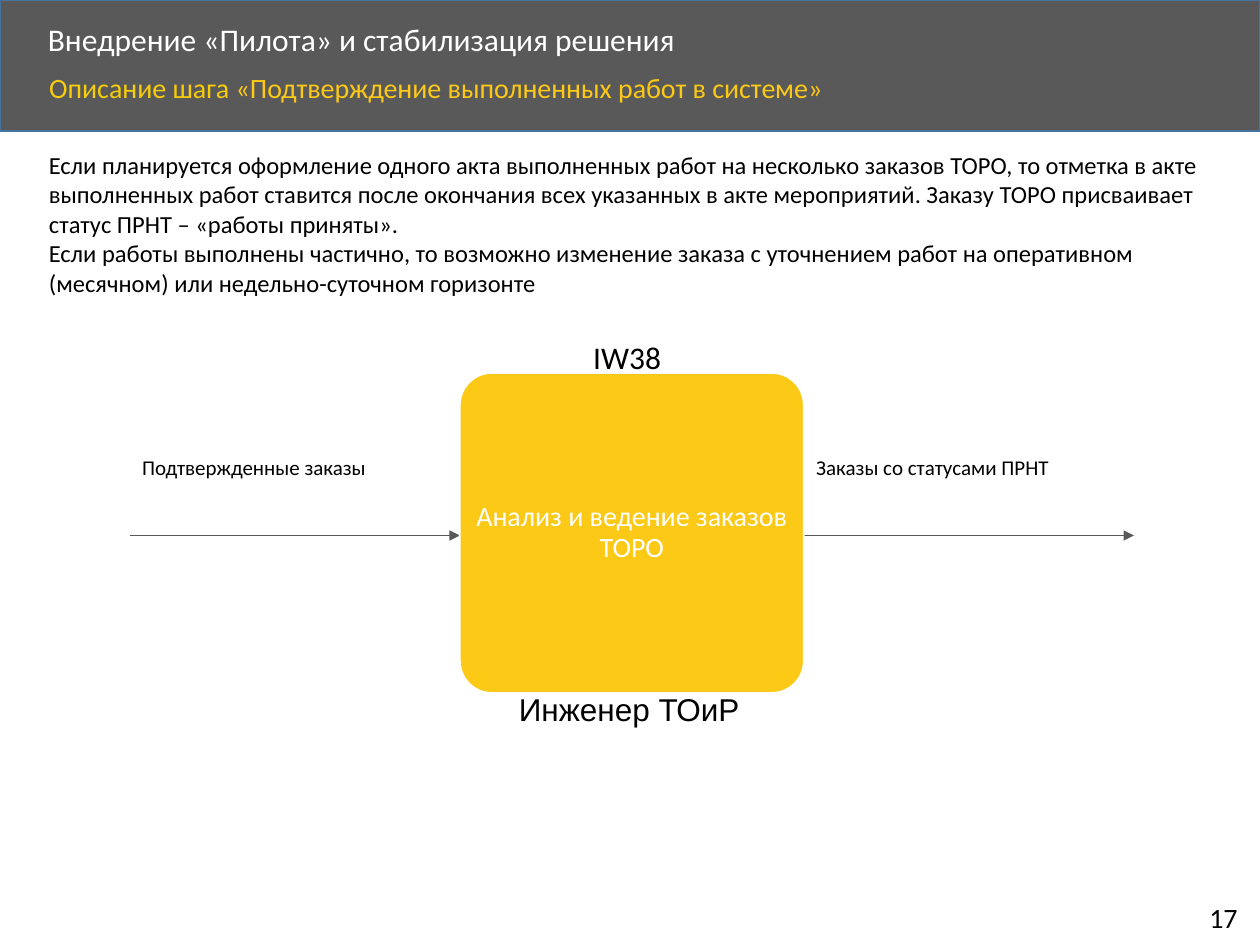
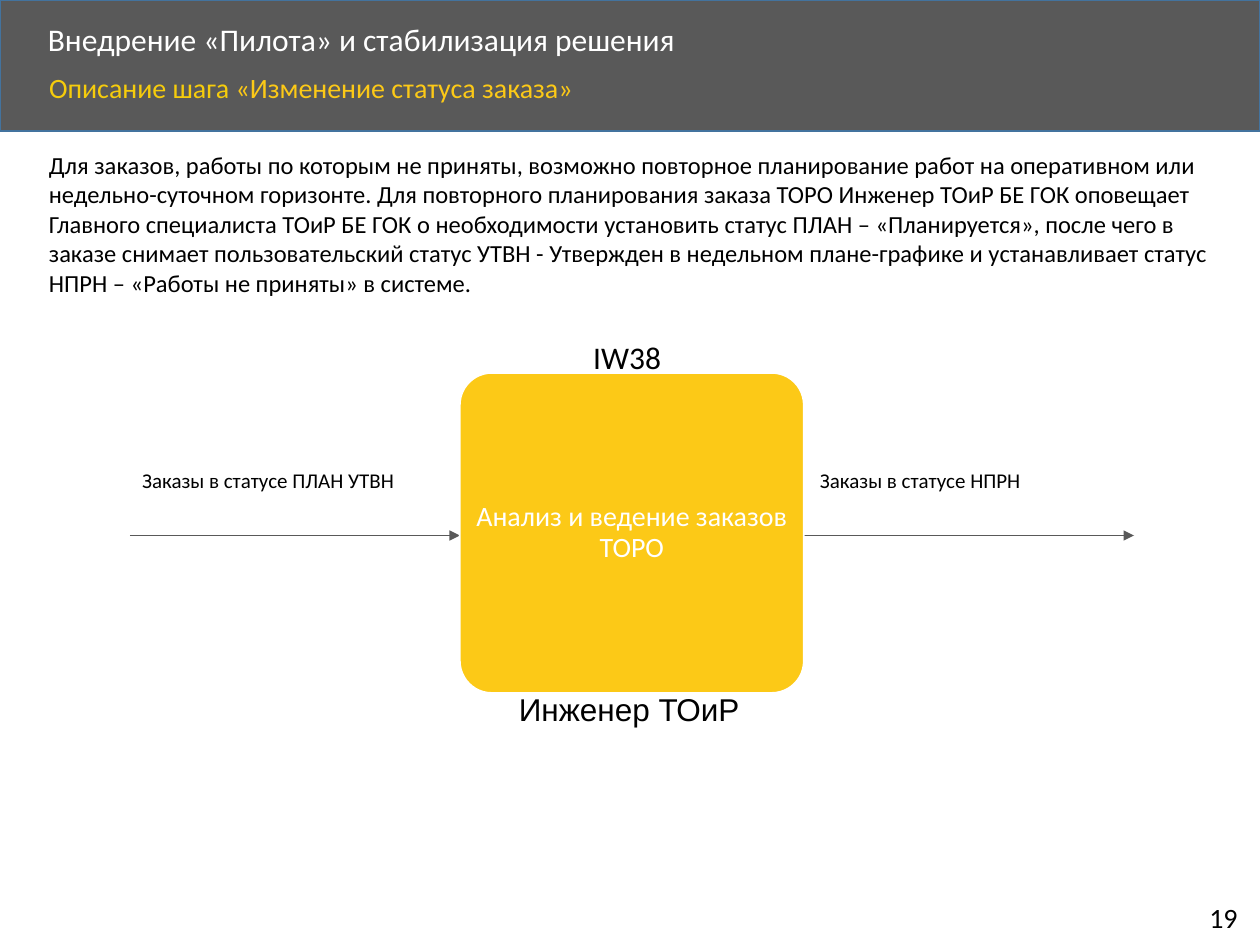
from lxml import etree
from pptx import Presentation
from pptx import util as u
from pptx.dml.color import RGBColor
from pptx.enum import shapes, text
from pptx.oxml.ns import qn

HUES = {"band": "595959", "edge": "43739E", "gold": "FCC917",
        "lead": "F6CC0C", "white": "FFFFFF", "black": "000000"}
WIDE, HIGH = u.Inches(10), u.Inches(7.5)
COLS, ROWS = 100, 75
LEFT = 2.9
BOX = (36.5, 29.6, 27.3, 25.4)
REACH = 26.2
FLOW = 42.5
HEAD = "Внедрение «Пилота» и стабилизация решения"
STEP = "Описание шага "
TASK = "Анализ и ведение заказов ТОРО"
CODE = "IW38"
ROLE = "Инженер ТОиР"

PAGES = [
    {"num": "17", "step": "«Подтверждение выполненных работ в системе»",
     "body": [
         "Если планируется оформление одного акта выполненных работ на несколько "
         "заказов ТОРО, то отметка в акте выполненных работ ставится после окончания "
         "всех указанных в акте мероприятий. Заказу ТОРО присваивает статус ПРНТ – "
         "«работы приняты».",
         "Если работы выполнены частично, то возможно изменение заказа с уточнением "
         "работ на оперативном (месячном) или недельно-суточном горизонте"],
     "input": "Подтвержденные заказы", "output": "Заказы со статусами ПРНТ",
     "row": 35.6, "out": 63.8},
    {"num": "19", "step": "«Изменение статуса заказа»",
     "body": [
         "Для заказов, работы по которым не приняты, возможно повторное планирование "
         "работ на оперативном или недельно-суточном горизонте. Для повторного "
         "планирования заказа ТОРО Инженер ТОиР БЕ ГОК оповещает Главного специалиста "
         "ТОиР БЕ ГОК о необходимости установить статус ПЛАН – «Планируется», после "
         "чего в заказе снимает пользовательский статус УТВН - Утвержден в недельном "
         "плане-графике и устанавливает статус НПРН – «Работы не приняты» в системе."],
     "input": "Заказы в статусе ПЛАН УТВН", "output": "Заказы в статусе НПРН",
     "row": 36.6, "out": 64.1},
]


def hue(name):
    return RGBColor.from_string(HUES[name])


def grid(x, y, *size):
    spans = (WIDE / COLS, HIGH / ROWS) * 2
    return [int(n * span) for n, span in zip((x, y, *size), spans)]


def place(shape, spot):
    shape.left, shape.top, shape.width, shape.height = grid(*spot)


def add_run(para, words, size, color="black", face="Calibri"):
    run = para.add_run()
    run.text = words
    run.font.size = u.Pt(size)
    run.font.name = face
    run.font.color.rgb = hue(color)


def add_text(slide, spot, lines, size, face="Calibri", wrap=True):
    frame = slide.shapes.add_textbox(*grid(*spot)).text_frame
    frame.word_wrap = wrap
    for i, line in enumerate(lines):
        para = frame.add_paragraph() if i else frame.paragraphs[0]
        add_run(para, line, size, face=face)


def add_form(slide, kind, spot, fill, edge):
    form = slide.shapes.add_shape(kind, *grid(*spot))
    form.shadow.inherit = False
    form.fill.solid()
    form.fill.fore_color.rgb = hue(fill)
    form.line.color.rgb = hue(edge)
    form.line.width = u.Pt(1)
    return form


def add_band(slide):
    band = add_form(slide, shapes.MSO_SHAPE.RECTANGLE, (0, 0, COLS, 10.4),
                    "band", "edge")
    slide.shapes._spTree.insert(2, band._element)


def fill_holder(holder, spot, anchor, runs, size):
    place(holder, spot)
    frame = holder.text_frame
    frame.auto_size = text.MSO_AUTO_SIZE.NONE
    frame.vertical_anchor = anchor
    para = frame.paragraphs[0]
    props = para._p.get_or_add_pPr()
    props.set("marL", "0")
    props.set("indent", "0")
    etree.SubElement(props, qn("a:buNone"))
    para.alignment = text.PP_ALIGN.LEFT
    para.line_spacing = 0.9
    para.space_before = u.Pt(0)
    for words, color in runs:
        add_run(para, words, size, color)


def add_arrow(slide, x):
    ends = grid(x, FLOW) + grid(x + REACH, FLOW)
    arrow = slide.shapes.add_connector(shapes.MSO_CONNECTOR.STRAIGHT, *ends)
    arrow.line.color.rgb = hue("band")
    arrow.line.width = u.Pt(0.5)
    etree.SubElement(arrow.line._get_or_add_ln(), qn("a:tailEnd"), type="triangle")
    etree.SubElement(arrow._element.spPr, qn("a:effectLst"))


def add_task(slide):
    task = add_form(slide, shapes.MSO_SHAPE.ROUNDED_RECTANGLE, BOX, "gold", "white")
    task.adjustments[0] = 0.1
    frame = task.text_frame
    frame.word_wrap = True
    frame.vertical_anchor = text.MSO_ANCHOR.MIDDLE
    frame.margin_left = frame.margin_right = u.Inches(0.01)
    para = frame.paragraphs[0]
    para.alignment = text.PP_ALIGN.CENTER
    para.line_spacing = 0.9
    add_run(para, TASK, 16, "white")


def add_flow(slide, page):
    start, end = BOX[0] - REACH, BOX[0] + BOX[2]
    for x, spot, label in ((start, start, page["input"]),
                           (end, page["out"], page["output"])):
        add_arrow(slide, x)
        add_text(slide, (spot, page["row"], 25.7, 3), [label], 12)
    add_task(slide)
    add_text(slide, (46.1, 26.3, 7.5, 4), [CODE], 18, wrap=False)
    add_text(slide, (40.2, 54.3, 20, 4), [ROLE], 18, face="Arial")


def add_page(deck, page):
    slide = deck.slides.add_slide(deck.slide_layouts[1])
    add_band(slide)
    fill_holder(slide.shapes.title, (2.8, 1.4, 80.7, 3.8),
                text.MSO_ANCHOR.MIDDLE, [(HEAD, "white")], 18)
    fill_holder(slide.placeholders[1], (LEFT, 5.4, 86.5, 4.5),
                text.MSO_ANCHOR.TOP, [(STEP, "lead"), (page["step"], "gold")], 16)
    add_text(slide, (LEFT, 11.4, 94.6, 12.8), page["body"], 14)
    add_flow(slide, page)
    add_text(slide, (95, 71, 4.6, 3.7), [page["num"]], 16, wrap=False)


def main():
    deck = Presentation()
    deck.slide_width, deck.slide_height = WIDE, HIGH
    for page in PAGES:
        add_page(deck, page)
    deck.save("out.pptx")


if __name__ == "__main__":
    main()
